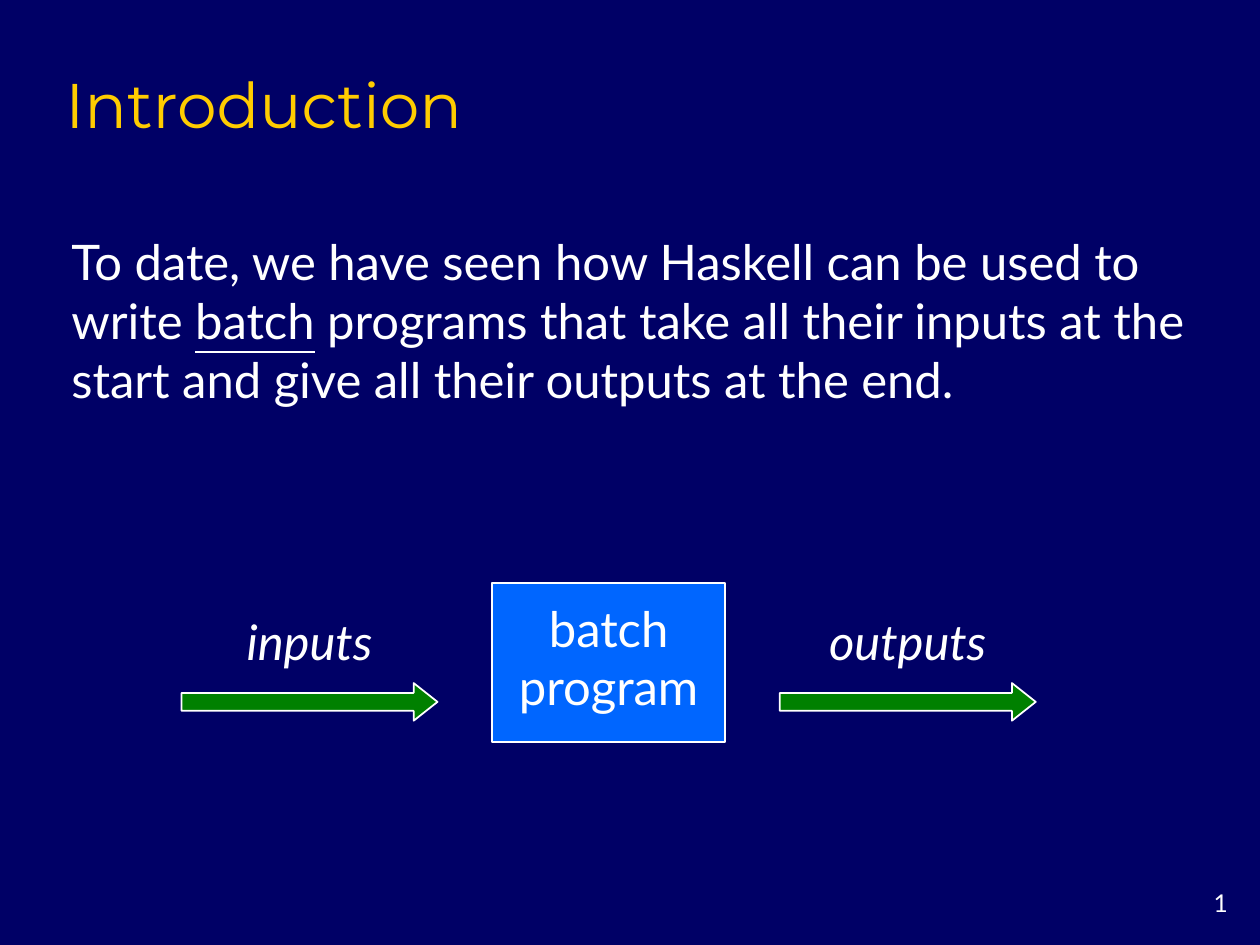
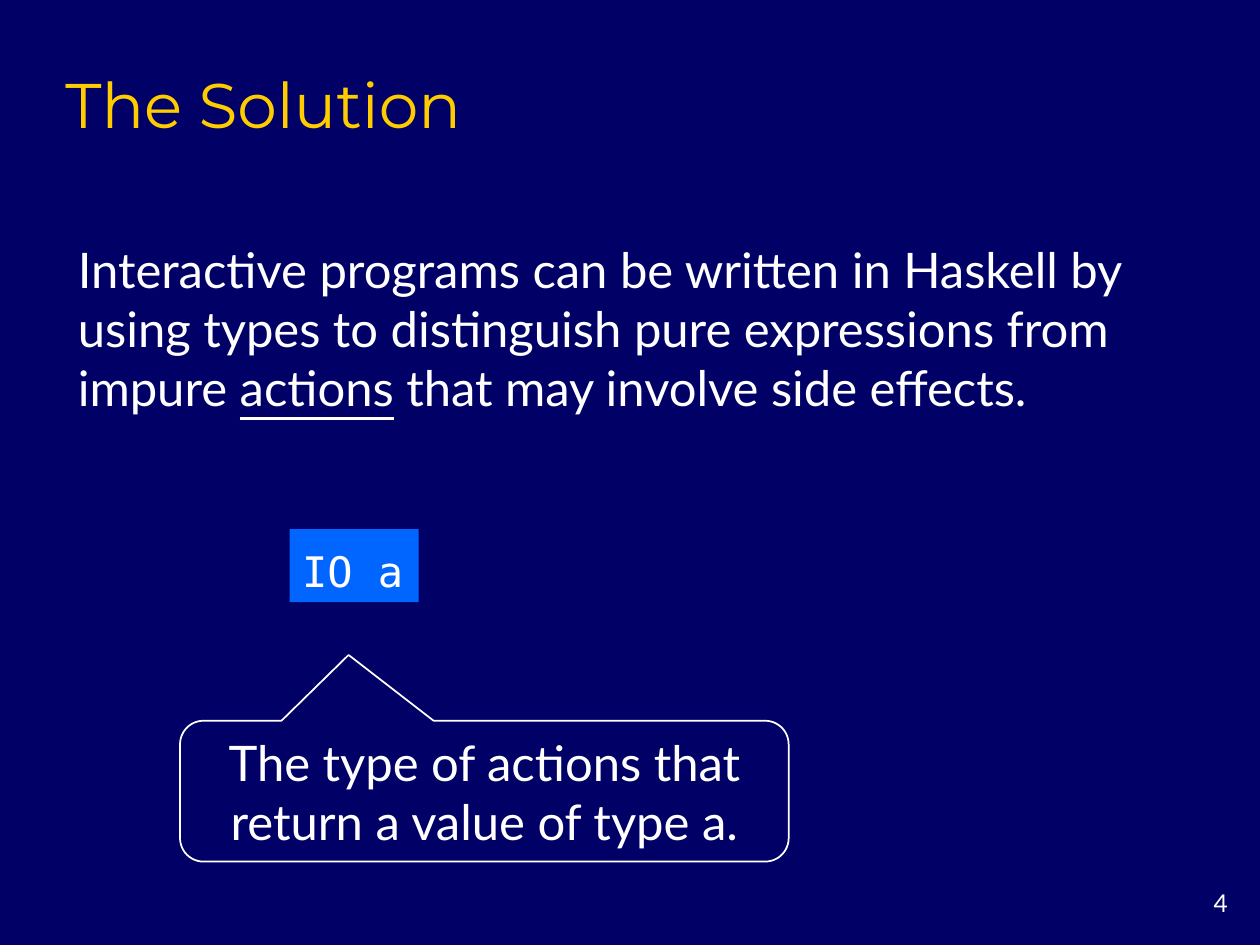
from collections import namedtuple

from pptx import Presentation
from pptx.dml.color import RGBColor
from pptx.enum.shapes import MSO_SHAPE
from pptx.enum.text import MSO_ANCHOR, PP_ALIGN
from pptx.util import Cm, Pt

RECTANGLE = MSO_SHAPE.RECTANGLE
RIGHT_ARROW = MSO_SHAPE.RIGHT_ARROW
CALLOUT = MSO_SHAPE.ROUNDED_RECTANGULAR_CALLOUT
LEFT, CENTER, RIGHT = PP_ALIGN.LEFT, PP_ALIGN.CENTER, PP_ALIGN.RIGHT
TOP, MIDDLE, BOTTOM = MSO_ANCHOR.TOP, MSO_ANCHOR.MIDDLE, MSO_ANCHOR.BOTTOM

COLORS = {
    "background": "000066",
    "title": "FFCC00",
    "text": "FFFFFF",
    "line": "FFFFFF",
    "box": "0066FF",
    "arrow": "008000",
}
BODY_FONT, TITLE_FONT, CODE_FONT = "Lato", "Montserrat", "DejaVu Sans Mono"
BLANK_LAYOUT = 6

Box = namedtuple("Box", "left top width height")

PAGE = Box(0, 0, 25.4, 19.05)
TITLE = Box(1.07, 1.07, 21.6, 1.9)
NUMBER = Box(23.3, 17.78, 1.7, 0.84)


def rgb(name):
    return RGBColor.from_string(COLORS[name])


def lengths(box):
    return [Cm(value) for value in box]


def write(shape, text, size=28, font=BODY_FONT, color="text", align=LEFT,
          anchor=TOP, italic=False, underlined="", spacing=None):
    frame = shape.text_frame
    frame.word_wrap = True
    frame.vertical_anchor = anchor
    for index, line in enumerate(text.split("\n")):
        paragraph = frame.paragraphs[0] if index == 0 else frame.add_paragraph()
        paragraph.alignment = align
        if spacing:
            paragraph.line_spacing = spacing
        parts = line.partition(underlined) if underlined else [line]
        for part in filter(None, parts):
            run = paragraph.add_run()
            run.text = part
            run.font.size = Pt(size)
            run.font.name = font
            run.font.italic = italic
            run.font.underline = part == underlined
            run.font.color.rgb = rgb(color)


def add_text(slide, box, text, **text_format):
    write(slide.shapes.add_textbox(*lengths(box)), text, **text_format)


def add_shape(slide, kind, box, fill=None, line=None, adjustments=()):
    shape = slide.shapes.add_shape(kind, *lengths(box))
    shape.shadow.inherit = False
    for index, value in enumerate(adjustments):
        shape.adjustments[index] = value
    if fill:
        shape.fill.solid()
        shape.fill.fore_color.rgb = rgb(fill)
    else:
        shape.fill.background()
    if line:
        shape.line.color.rgb = rgb(line)
        shape.line.width = Pt(1)
    else:
        shape.line.fill.background()
    return shape


def add_slide(presentation, title, number):
    slide = presentation.slides.add_slide(presentation.slide_layouts[BLANK_LAYOUT])
    slide.background.fill.solid()
    slide.background.fill.fore_color.rgb = rgb("background")
    add_text(slide, NUMBER, str(number), size=14, align=RIGHT)
    add_text(slide, TITLE, title, size=36, font=TITLE_FONT, color="title",
             anchor=BOTTOM)
    return slide


def add_labelled_arrow(slide, box, label):
    label_height, arrow_height = 1.45, 0.76
    add_text(slide, Box(box.left, box.top, box.width, label_height), label,
             align=CENTER, anchor=MIDDLE, italic=True)
    arrow_top = box.top + box.height - arrow_height
    add_shape(slide, RIGHT_ARROW, Box(box.left, arrow_top, box.width, arrow_height),
              fill="arrow", line="line", adjustments=(0.474, 0.631))


def add_program_flow(slide, box):
    program_width, gap = 4.7, 1.1
    arrow_width = (box.width - program_width - 2 * gap) / 2
    program_left = box.left + arrow_width + gap
    program = add_shape(slide, RECTANGLE,
                        Box(program_left, box.top, program_width, box.height),
                        fill="box", line="line")
    program.text_frame.margin_bottom = Cm(0.36)
    write(program, "batch\nprogram", align=CENTER, anchor=MIDDLE)
    output_left = program_left + program_width + gap
    for left, label in ((box.left, "inputs"), (output_left, "outputs")):
        add_labelled_arrow(slide, Box(left, box.top + 0.43, arrow_width, 2.34), label)


def add_type_explanation(slide, box):
    code_box = Box(box.left + 2.21, box.top, 2.6, 1.47)
    code = add_shape(slide, RECTANGLE, code_box, fill="box")
    write(code, "IO a", size=24, font=CODE_FONT, anchor=MIDDLE, spacing=1.2)
    height = 2.84
    callout_box = Box(box.left, box.top + box.height - height, box.width, height)
    callout = add_shape(slide, CALLOUT, callout_box, line="line",
                        adjustments=(-0.223, -0.967, 0.167))
    write(callout, "The type of actions that return a value of type a.",
          align=CENTER, anchor=MIDDLE)


def build_introduction(presentation):
    slide = add_slide(presentation, "Introduction", 1)
    add_text(slide, Box(1.19, 4.55, 23.32, 3.81),
             "To date, we have seen how Haskell can be used to write batch "
             "programs that take all their inputs at the start and give all "
             "their outputs at the end.", underlined="batch")
    add_program_flow(slide, Box(3.66, 11.76, 17.22, 3.2))


def build_solution(presentation):
    slide = add_slide(presentation, "The Solution", 4)
    add_text(slide, Box(1.32, 4.7, 22.6, 3.81),
             "Interactive programs can be written in Haskell by using types to "
             "distinguish pure expressions from impure actions that may involve "
             "side effects.", anchor=MIDDLE, underlined="actions")
    add_type_explanation(slide, Box(3.63, 10.67, 12.27, 6.7))


presentation = Presentation()
presentation.slide_width = Cm(PAGE.width)
presentation.slide_height = Cm(PAGE.height)
build_introduction(presentation)
build_solution(presentation)
presentation.save("out.pptx")
